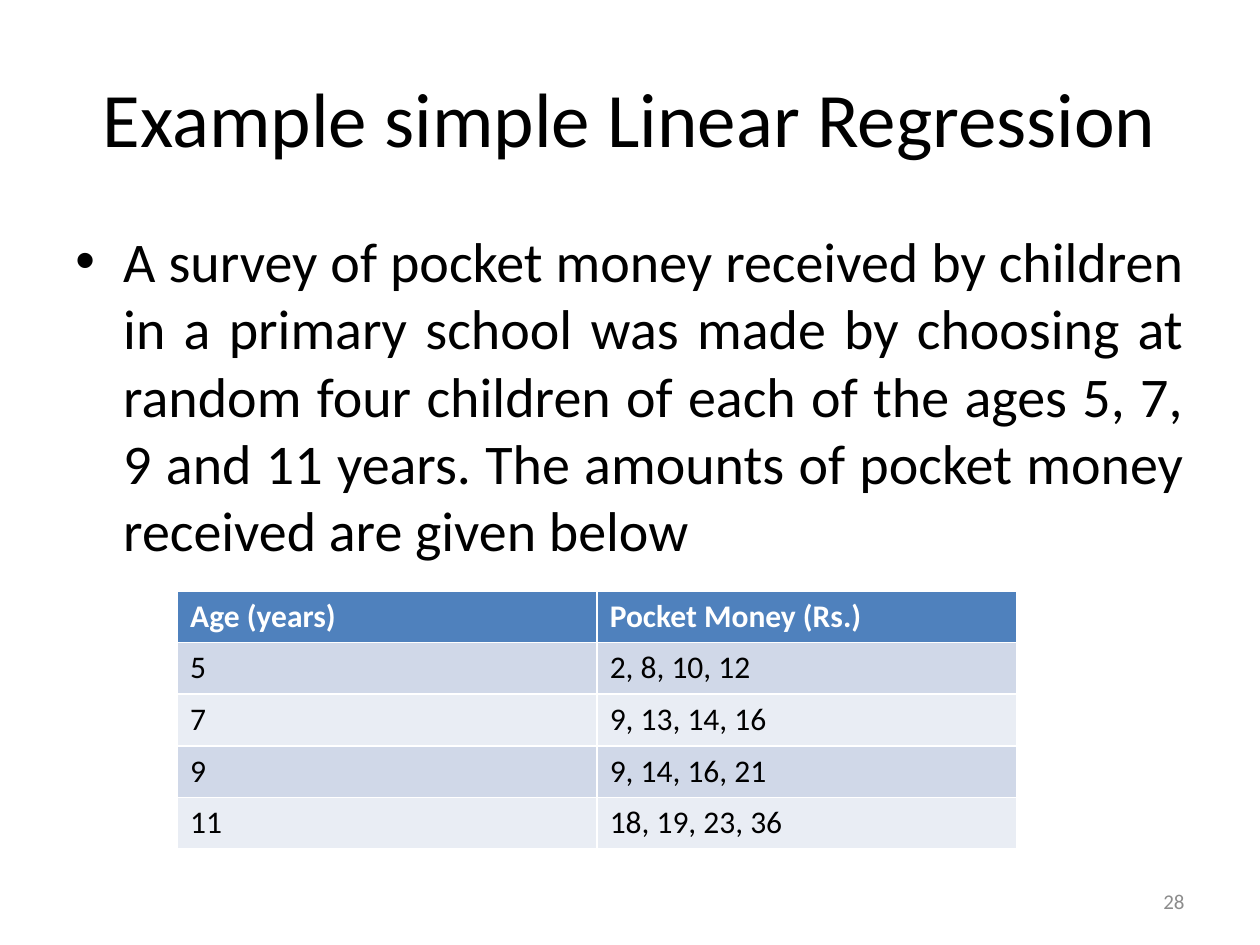
from dataclasses import dataclass

from lxml import etree
from pptx import Presentation
from pptx.dml.color import RGBColor
from pptx.enum.text import MSO_ANCHOR, PP_ALIGN
from pptx.oxml.ns import qn
from pptx.slide import Slide
from pptx.util import Inches, Pt

LEFT, CENTER, RIGHT, JUSTIFY = PP_ALIGN.LEFT, PP_ALIGN.CENTER, PP_ALIGN.RIGHT, PP_ALIGN.JUSTIFY
TOP, MIDDLE = MSO_ANCHOR.TOP, MSO_ANCHOR.MIDDLE


@dataclass(frozen=True)
class Theme:
    font: str = "Calibri"
    ink: str = "000000"
    muted: str = "8C8C8C"
    header_ink: str = "FFFFFF"
    header_fill: str = "4F81BD"
    bands: tuple[str, str] = ("D0D8E8", "E9EDF4")
    title_size: int = 44
    body_size: int = 32
    table_size: int = 18
    number_size: int = 12


@dataclass(frozen=True)
class TextBlock:
    text: str
    box: tuple[float, float, float, float]
    size: int
    color: str
    align: PP_ALIGN
    anchor: MSO_ANCHOR
    bulleted: bool = False


THEME = Theme()
BULLET_INDENT = 0.38
TABLE_LEFT, TABLE_TOP = 1.41, 4.69
COLUMN_WIDTH, ROW_HEIGHT = 3.33, 0.41

BLOCKS = [
    TextBlock("Example simple Linear Regression", (0.5, 0.3, 9, 1.25),
              THEME.title_size, THEME.ink, CENTER, MIDDLE),
    TextBlock("A survey of pocket money received by children in a primary school "
              "was made by choosing at random four children of each of the ages "
              "5, 7, 9 and 11 years. The amounts of pocket money received are given below",
              (0.5, 1.75, 9, 4.95), THEME.body_size, THEME.ink, JUSTIFY, TOP, bulleted=True),
    TextBlock("28", (7.17, 6.95, 2.33, 0.4), THEME.number_size, THEME.muted, RIGHT, MIDDLE),
]

POCKET_MONEY = [
    ("Age (years)", "Pocket Money (Rs.)"),
    ("5", "2, 8, 10, 12"),
    ("7", "9, 13, 14, 16"),
    ("9", "9, 14, 16, 21"),
    ("11", "18, 19, 23, 36"),
]


def style_paragraph(paragraph, size: int, color: str, align: PP_ALIGN, bold: bool = False) -> None:
    paragraph.alignment = align
    paragraph.font.name = THEME.font
    paragraph.font.size = Pt(size)
    paragraph.font.bold = bold
    paragraph.font.color.rgb = RGBColor.from_string(color)


def add_bullet(paragraph, size: int) -> None:
    paragraph.space_before = Pt(0.2 * size)
    properties = paragraph._p.get_or_add_pPr()
    properties.set("marL", str(Inches(BULLET_INDENT)))
    properties.set("indent", str(-Inches(BULLET_INDENT)))
    etree.SubElement(properties, qn("a:buFont")).set("typeface", "Arial")
    etree.SubElement(properties, qn("a:buChar")).set("char", "•")


def add_text(slide: Slide, block: TextBlock) -> None:
    frame = slide.shapes.add_textbox(*map(Inches, block.box)).text_frame
    frame.word_wrap = True
    frame.vertical_anchor = block.anchor
    frame.text = block.text
    paragraph = frame.paragraphs[0]
    if block.bulleted:
        add_bullet(paragraph, block.size)
    style_paragraph(paragraph, block.size, block.color, block.align)


def add_data_table(slide: Slide, rows: list[tuple[str, ...]]) -> None:
    columns = len(rows[0])
    table = slide.shapes.add_table(
        len(rows), columns, Inches(TABLE_LEFT), Inches(TABLE_TOP),
        Inches(columns * COLUMN_WIDTH), Inches(len(rows) * ROW_HEIGHT)).table
    for row_index, values in enumerate(rows):
        is_header = row_index == 0
        fill = THEME.header_fill if is_header else THEME.bands[(row_index - 1) % 2]
        ink = THEME.header_ink if is_header else THEME.ink
        for column_index, value in enumerate(values):
            cell = table.cell(row_index, column_index)
            cell.text = value
            cell.fill.solid()
            cell.fill.fore_color.rgb = RGBColor.from_string(fill)
            style_paragraph(cell.text_frame.paragraphs[0], THEME.table_size, ink, LEFT, is_header)


def main() -> None:
    presentation = Presentation()
    presentation.slide_width, presentation.slide_height = Inches(10), Inches(7.5)
    slide = presentation.slides.add_slide(presentation.slide_layouts[6])
    for block in BLOCKS:
        add_text(slide, block)
    add_data_table(slide, POCKET_MONEY)
    presentation.save("out.pptx")


if __name__ == "__main__":
    main()
